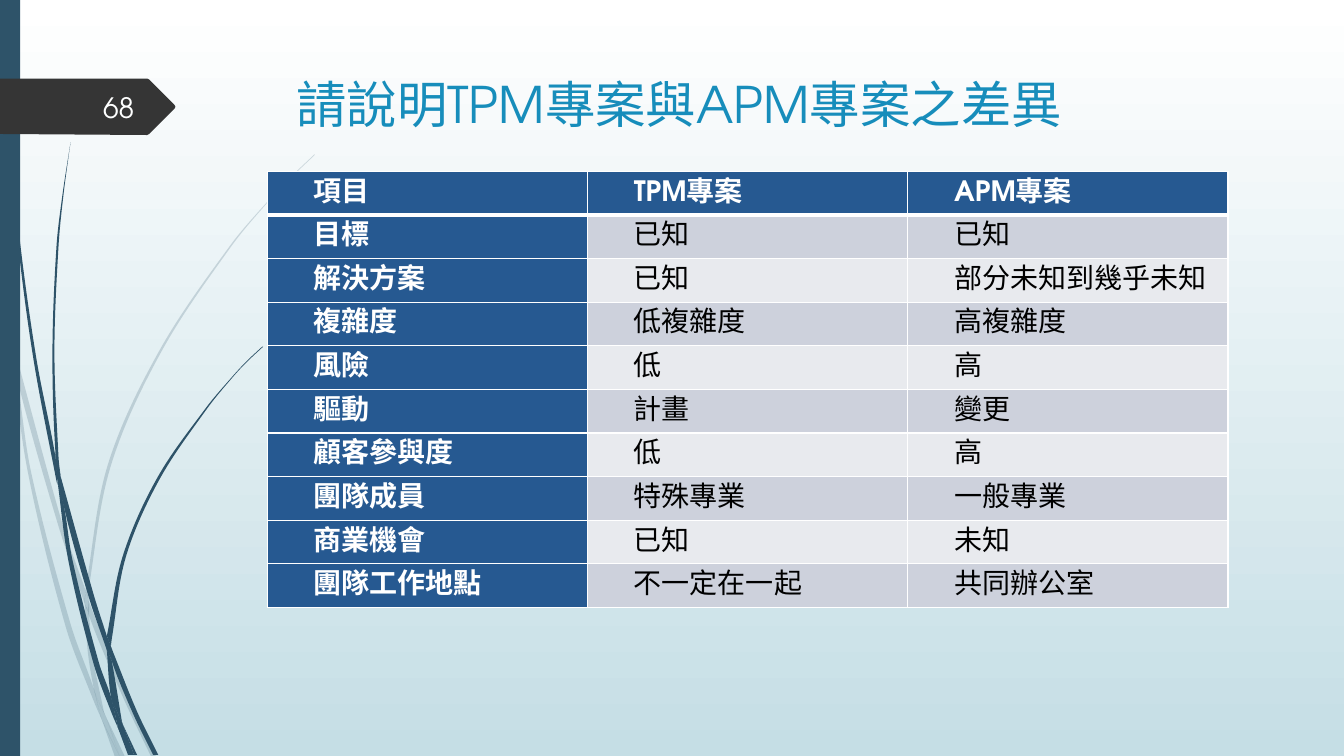
from dataclasses import dataclass
from math import dist

from lxml import etree
from pptx import Presentation
from pptx.dml.color import RGBColor
from pptx.enum.shapes import MSO_SHAPE
from pptx.enum.text import MSO_ANCHOR, PP_ALIGN
from pptx.oxml.ns import qn
from pptx.util import Inches, Pt

RECT = MSO_SHAPE.RECTANGLE
TOP, MIDDLE = MSO_ANCHOR.TOP, MSO_ANCHOR.MIDDLE
LEFT, RIGHT, JUSTIFY = PP_ALIGN.LEFT, PP_ALIGN.RIGHT, PP_ALIGN.JUSTIFY

FONT = "TeX Gyre Adventor"
WHITE, BLACK = "FFFFFF", "000000"
STEM, TAG, TITLE = "2E5369", "353535", "178DBB"
HEAD, BANDS = "265991", ("CDD1DC", "E8EAEE")

Point = tuple[float, float]


@dataclass
class Blade:
    """A piece of a grass stem, given by its two edges from top to bottom."""
    left: list[Point]
    right: list[Point]


@dataclass
class Label:
    text: str
    box: tuple[float, float, float, float]
    size: int
    color: str
    align: PP_ALIGN
    anchor: MSO_ANCHOR


PALE_GRASS = [
    Blade([(0, 2.82), (0, 2.99), (.1, 3.44), (.11, 3.5)], [(0, 2.82), (.09, 3.22), (.11, 3.5)]),
    Blade([(.14, 3.45), (.17, 3.76), (.58, 5.22), (.84, 5.99)],
          [(.14, 3.45), (.62, 5.2), (.85, 5.86)]),
    Blade([(.88, 5.96), (.88, 6.1), (1.23, 6.94), (1.5, 7.51)],
          [(.88, 5.96), (.92, 6.07), (1.27, 6.92), (1.55, 7.51)]),
    Blade([(1.05, 7.11), (1.19, 7.51)], [(1.05, 7.11), (1.24, 7.51)]),
    Blade([(.11, 3.5), (.28, 4.7), (.65, 6.21), (.92, 6.93), (1.01, 7.14)],
          [(.11, 3.5), (.17, 3.76), (.31, 4.69), (.7, 6.19), (.93, 6.83), (.99, 7.07)]),
    Blade([(.84, 5.99), (.87, 6.46), (.93, 6.83), (.96, 6.92), (1.05, 7.11)],
          [(.84, 5.99), (.88, 6.08), (.91, 6.46), (1.03, 7.06)]),
    Blade([(3.12, 1.53), (2.89, 1.75), (2.68, 1.97), (2.28, 2.44), (1.58, 3.48), (1.07, 4.61),
           (.85, 5.84), (.85, 5.86)],
          [(3.12, 1.54), (2.9, 1.75), (2.68, 1.98), (2.29, 2.45), (1.6, 3.49), (1.1, 4.62),
           (.88, 5.84), (.88, 5.96)]),
    Blade([(1.01, 7.14), (1.14, 7.51)], [(1.01, 7.14), (1.19, 7.51)]),
    Blade([(.85, 5.86), (.84, 5.99), (.88, 6.08)], [(.85, 5.86), (.88, 5.96), (.88, 6.1)]),
    Blade([(.93, 6.83), (.99, 7.07), (1.01, 7.14), (1.19, 7.51)],
          [(.93, 6.83), (.96, 6.92), (1.05, 7.11), (1.19, 7.51)]),
]
DARK_GRASS = [
    Blade([(.03, 0), (.04, .48), (.07, 1.1), (.17, 2.33), (.33, 3.55), (.56, 4.77), (.57, 4.81)],
          [(.04, 0), (.05, .48), (.08, 1.09), (.19, 2.32), (.36, 3.55), (.55, 4.53), (.57, 4.81)]),
    Blade([(.6, 4.72), (.64, 5.05), (.88, 5.92), (1.06, 6.45)],
          [(.6, 4.72), (.93, 5.9), (1.06, 6.31)]),
    Blade([(1.1, 6.41), (1.11, 6.56), (1.32, 7.08), (1.52, 7.49)],
          [(1.1, 6.41), (1.13, 6.49), (1.36, 7.06), (1.57, 7.49)]),
    Blade([(.57, 4.77), (.68, 5.57), (.93, 6.59), (1.11, 7.08), (1.17, 7.22)],
          [(.57, 4.77), (.64, 5.05), (.72, 5.56), (.98, 6.57), (1.1, 6.91), (1.16, 7.17)]),
    Blade([(.7, 1.41), (.62, 1.93), (.56, 2.45), (.52, 3.49), (.55, 4.49), (.6, 4.72)],
          [(.7, 1.41), (.63, 1.93), (.58, 2.45), (.54, 3.49), (.58, 4.53), (.6, 4.72)]),
    Blade([(1.22, 7.19), (1.33, 7.49)], [(1.22, 7.19), (1.36, 7.49)]),
    Blade([(.55, 4.49), (.55, 4.53), (.57, 4.77), (.64, 5.05)],
          [(.55, 4.49), (.6, 4.72), (.64, 5.05)]),
    Blade([(2.6, 3.44), (2.45, 3.58), (2.31, 3.73), (2.04, 4.05), (1.56, 4.74), (1.22, 5.51),
           (1.06, 6.31)],
          [(2.61, 3.44), (2.45, 3.59), (2.31, 3.74), (2.05, 4.06), (1.58, 4.76), (1.25, 5.52),
           (1.11, 6.33), (1.1, 6.41)]),
    Blade([(1.17, 7.22), (1.27, 7.49)], [(1.17, 7.22), (1.31, 7.49)]),
    Blade([(1.06, 6.45), (1.1, 6.91), (1.16, 7.06), (1.22, 7.19)],
          [(1.06, 6.45), (1.09, 6.51), (1.11, 6.56), (1.21, 7.16)]),
    Blade([(1.06, 6.31), (1.06, 6.45), (1.09, 6.51)], [(1.06, 6.31), (1.1, 6.41), (1.11, 6.56)]),
    Blade([(1.1, 6.91), (1.16, 7.17), (1.17, 7.22), (1.3, 7.49)],
          [(1.1, 6.91), (1.16, 7.06), (1.22, 7.19), (1.33, 7.49)]),
]

PAGE_TAG = [(0, .78), (1.46, .78), (1.48, .79), (1.73, 1.04), (1.74, 1.06),
            (1.73, 1.08), (1.48, 1.33), (1.46, 1.34), (0, 1.33)]

LABELS = [
    Label("請說明TPM專案與APM專案之差異", (2.84, .68, 9.75, 1.4), 36, TITLE, LEFT, TOP),
    Label("68", (.58, .86, .85, .4), 20, "FEFFFF", RIGHT, MIDDLE),
]

ROWS = [
    ("項目", "TPM專案", "APM專案"),
    ("目標", "已知", "已知"),
    ("解決方案", "已知", "部分未知到幾乎未知"),
    ("複雜度", "低複雜度", "高複雜度"),
    ("風險", "低", "高"),
    ("驅動", "計畫", "變更"),
    ("顧客參與度", "低", "高"),
    ("團隊成員", "特殊專業", "一般專業"),
    ("商業機會", "已知", "未知"),
    ("團隊工作地點", "不一定在一起", "共同辦公室"),
]


def rgb(color: str) -> RGBColor:
    return RGBColor.from_string(color)


def paint(sp, color: str, alpha: int = 100) -> None:
    sp.shadow.inherit = False
    sp.fill.solid()
    sp.fill.fore_color.rgb = rgb(color)
    sp.line.fill.background()
    if alpha < 100:
        clr = sp.fill._xPr.find(".//" + qn("a:srgbClr"))
        etree.SubElement(clr, qn("a:alpha"), val=str(alpha * 1000))


def handle(before: Point, at: Point, after: Point) -> Point:
    """The control point that leaves a curve's point towards the next one."""
    step = dist(at, after)
    k = step / (step + dist(before, at)) / 3
    return at[0] + k * (after[0] - before[0]), at[1] + k * (after[1] - before[1])


def curve(points: list[Point]) -> list[Point]:
    """Two controls and an end for each step of a smooth edge."""
    ends = [points[0], *points, points[-1]]
    return [xy for a, b, c, d in zip(ends, ends[1:], ends[2:], ends[3:])
            for xy in (handle(a, b, c), handle(d, c, b), c)]


def add_outline(shapes, points: list[Point]):
    start, *rest = [(Inches(x), Inches(y)) for x, y in points]
    builder = shapes.build_freeform(*start)
    builder.add_line_segments(rest, close=True)
    return builder.convert_to_shape()


def add_grass(s, blades: list[Blade], alpha: int) -> None:
    grp = s.shapes.add_group_shape()
    for blade in blades:
        back = blade.right[::-1]
        points = [blade.left[0], *curve(blade.left), blade.left[-1], back[0], back[0], *curve(back)]
        sp = add_outline(grp.shapes, points)
        lines = list(sp._element.iter(qn("a:lnTo")))
        for trio in zip(lines[::3], lines[1::3], lines[2::3]):
            cubic = etree.Element(qn("a:cubicBezTo"))
            trio[0].addprevious(cubic)
            for line in trio:
                cubic.append(line[0])
                line.getparent().remove(line)
        paint(sp, STEM, alpha)


def add_run(p, text: str, size: int, color: str, bold: bool = False) -> None:
    r = p.add_run()
    r.text = text
    r.font.name, r.font.size, r.font.bold = FONT, Pt(size), bold
    r.font.color.rgb = rgb(color)


def add_label(s, label: Label) -> None:
    tf = s.shapes.add_textbox(*map(Inches, label.box)).text_frame
    tf.word_wrap, tf.vertical_anchor = True, label.anchor
    p = tf.paragraphs[0]
    p.alignment = label.align
    add_run(p, label.text, label.size, label.color)


def set_borders(cell, widths: dict[str, int]) -> None:
    tcPr = cell._tc.get_or_add_tcPr()
    for side, width in widths.items():
        ln = etree.SubElement(tcPr, qn(f"a:ln{side}"), w=str(Pt(width)))
        etree.SubElement(etree.SubElement(ln, qn("a:solidFill")), qn("a:srgbClr"), val=WHITE)


def add_comparison(s) -> None:
    box = map(Inches, (2.65, 1.7, 9.53, 4.33))
    table = s.shapes.add_table(len(ROWS), len(ROWS[0]), *box).table
    for i, row in enumerate(ROWS):
        for j, text in enumerate(row):
            cell, head = table.cell(i, j), i == 0 or j == 0
            cell.margin_left = cell.margin_right = Inches(.07)
            cell.margin_top = cell.margin_bottom = 0
            set_borders(cell, {"L": 1, "R": 1, "T": 3 if i == 1 else 1, "B": 3 if i == 0 else 1})
            cell.fill.solid()
            cell.fill.fore_color.rgb = rgb(HEAD if head else BANDS[(i - 1) % 2])
            p = cell.text_frame.paragraphs[0]
            p.alignment, p.line_spacing = JUSTIFY, Pt(27)
            pPr = p._p.get_or_add_pPr()
            pPr.set("marL", str(Inches(.25)))
            pPr.set("indent", str(Inches(.14)))
            add_run(p, text, 20, WHITE if head else BLACK, head)


def main() -> None:
    prs = Presentation()
    prs.slide_width, prs.slide_height = Inches(13.33), Inches(7.5)
    s = prs.slides.add_slide(prs.slide_layouts[6])
    # Background, white at the top
    bg = s.background.fill
    bg.gradient()
    bg.gradient_angle = 270
    for stop, color, position in zip(bg.gradient_stops, (WHITE, "C5DEE5"), (0, 1)):
        stop.color.rgb, stop.position = rgb(color), position
    # Grass, side bar and page tag
    add_grass(s, PALE_GRASS, 20)
    add_grass(s, DARK_GRASS, 100)
    paint(s.shapes.add_shape(RECT, 0, 0, Inches(.2), prs.slide_height), STEM)
    paint(add_outline(s.shapes, PAGE_TAG), TAG)
    # Table, title and page number
    add_comparison(s)
    for label in LABELS:
        add_label(s, label)
    prs.save("out.pptx")


if __name__ == "__main__":
    main()
